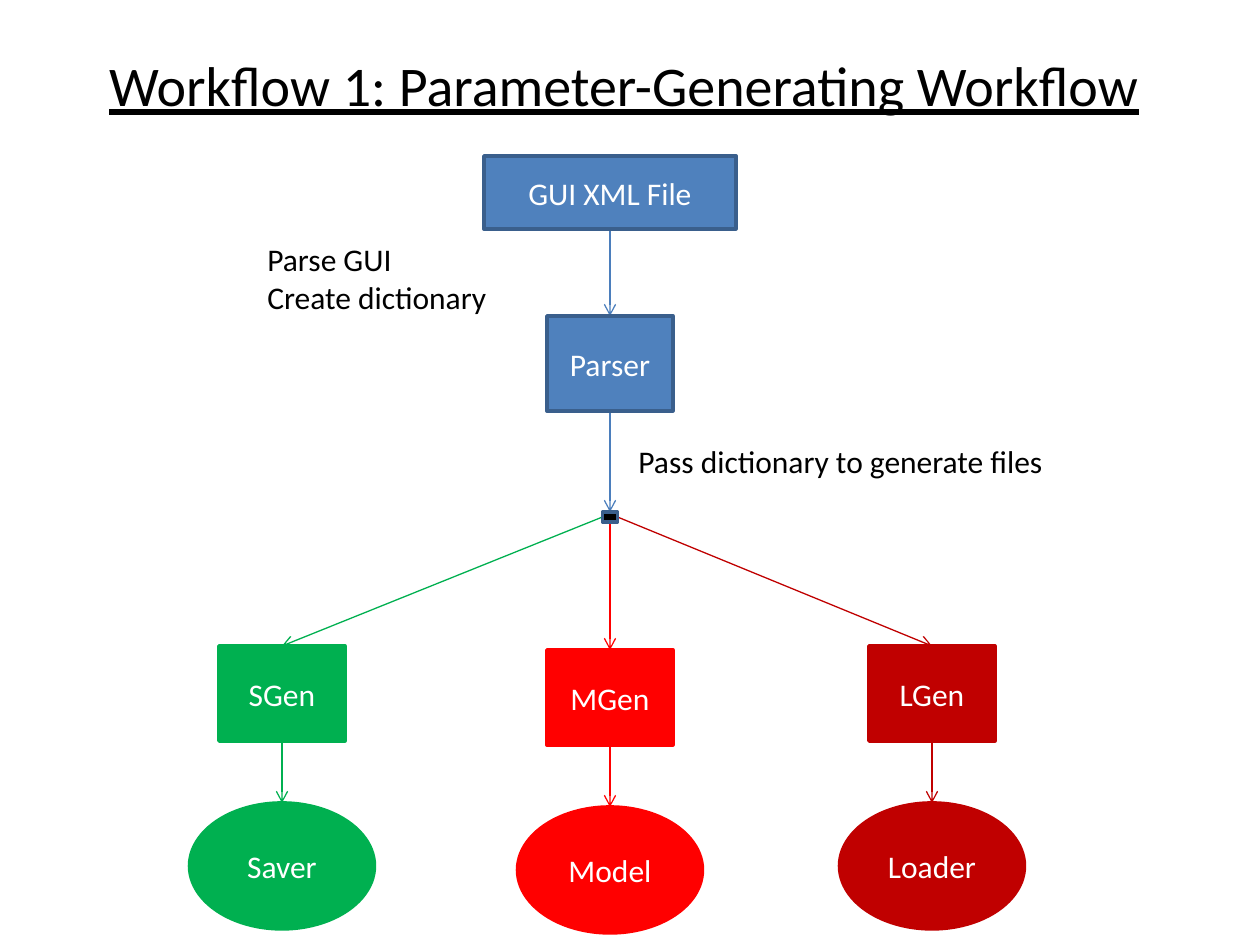
from lxml import etree
from pptx import Presentation
from pptx import util as u
from pptx.dml.color import RGBColor
from pptx.enum import shapes, text
from pptx.oxml.ns import qn

PX = 914400 / 126
BLUE = RGBColor(0x4F, 0x81, 0xBD)
NAVY = RGBColor(0x3A, 0x5F, 0x8C)
ARROW_BLUE = RGBColor(0x4B, 0x7E, 0xBC)
GREEN = RGBColor(0x00, 0xB0, 0x50)
RED = RGBColor(0xFF, 0x00, 0x00)
DARK_RED = RGBColor(0xC0, 0x00, 0x00)
BLACK = RGBColor(0, 0, 0)
WHITE = RGBColor(0xFF, 0xFF, 0xFF)
RECT = shapes.MSO_SHAPE.RECTANGLE
OVAL = shapes.MSO_SHAPE.OVAL

prs = Presentation()
prs.slide_width = u.Inches(10)
prs.slide_height = u.Inches(7.5)
s = prs.slides.add_slide(prs.slide_layouts[6])


def add_node(kind, label, center, top, width, height, fill, line):
    box = [u.Emu(round(v * PX)) for v in (center - width / 2, top, width, height)]
    sp = s.shapes.add_shape(kind, *box)
    sp.shadow.inherit = False
    sp.fill.solid()
    sp.fill.fore_color.rgb = fill
    sp.line.color.rgb = line
    sp.line.width = u.Pt(2)
    if label:
        tf = sp.text_frame
        tf.text = label
        tf.vertical_anchor = text.MSO_ANCHOR.MIDDLE
        p = tf.paragraphs[0]
        p.alignment = text.PP_ALIGN.CENTER
        font = p.runs[0].font
        font.name, font.size = "Calibri", u.Pt(18)
        font.color.rgb = WHITE


def add_arrow(x1, y1, x2, y2, color):
    ends = [u.Emu(round(v * PX)) for v in (x1, y1, x2, y2)]
    cx = s.shapes.add_connector(shapes.MSO_CONNECTOR.STRAIGHT, *ends)
    cx.line.color.rgb = color
    cx.line.width = u.Pt(0.75)
    etree.SubElement(cx.line._get_or_add_ln(), qn("a:tailEnd"), type="arrow")
    etree.SubElement(cx._element.spPr, qn("a:effectLst"))


MID = 610
HUB_TOP, HUB_W, HUB_H = 512, 15, 10
GEN_W, GEN_H = 126, 95
OUT_W, OUT_H = 185, 126
GEN_TO_OUT = 157

add_arrow(MID, 229, MID, 316, ARROW_BLUE)
add_arrow(MID, 411, MID, HUB_TOP, ARROW_BLUE)

branches = [
    ("SGen", "Saver", 282, 646, GREEN, (MID - HUB_W / 2, HUB_TOP + HUB_H / 2)),
    ("MGen", "Model", MID, 650, RED, (MID, HUB_TOP + HUB_H)),
    ("LGen", "Loader", 932, 646, DARK_RED, (MID + HUB_W / 2, HUB_TOP + HUB_H / 2)),
]
for generator, output, center, top, color, start in branches:
    out_top = top + GEN_TO_OUT
    add_arrow(*start, center, top, color)
    add_arrow(center, top + GEN_H, center, out_top, color)
    add_node(RECT, generator, center, top, GEN_W, GEN_H, color, color)
    add_node(OVAL, output, center, out_top, OUT_W, OUT_H, color, color)

add_node(RECT, "GUI XML File", MID, 156, 252, 73, BLUE, NAVY)
add_node(RECT, "Parser", MID, 316, GEN_W, GEN_H, BLUE, NAVY)
add_node(RECT, "", MID, HUB_TOP, HUB_W, HUB_H, BLACK, NAVY)

labels = [
    ("Workflow 1: Parameter-Generating Workflow", (73, 44, 1102, 81), 32, True),
    ("Parse GUI\nCreate dictionary", (255, 234, 254, 89), 18, False),
    ("Pass dictionary to generate files", (626, 436, 435, 50), 18, False),
]
for label, box, size, is_title in labels:
    sp = s.shapes.add_textbox(*[u.Emu(round(v * PX)) for v in box])
    tf = sp.text_frame
    tf.text = label
    tf.word_wrap = is_title
    tf.auto_size = text.MSO_AUTO_SIZE.SHAPE_TO_FIT_TEXT
    for p in tf.paragraphs:
        p.alignment = text.PP_ALIGN.CENTER if is_title else text.PP_ALIGN.LEFT
        font = p.runs[0].font
        font.name, font.size = "Calibri", u.Pt(size)
        font.color.rgb = BLACK
        if is_title:
            font.underline = True

prs.save("out.pptx")
